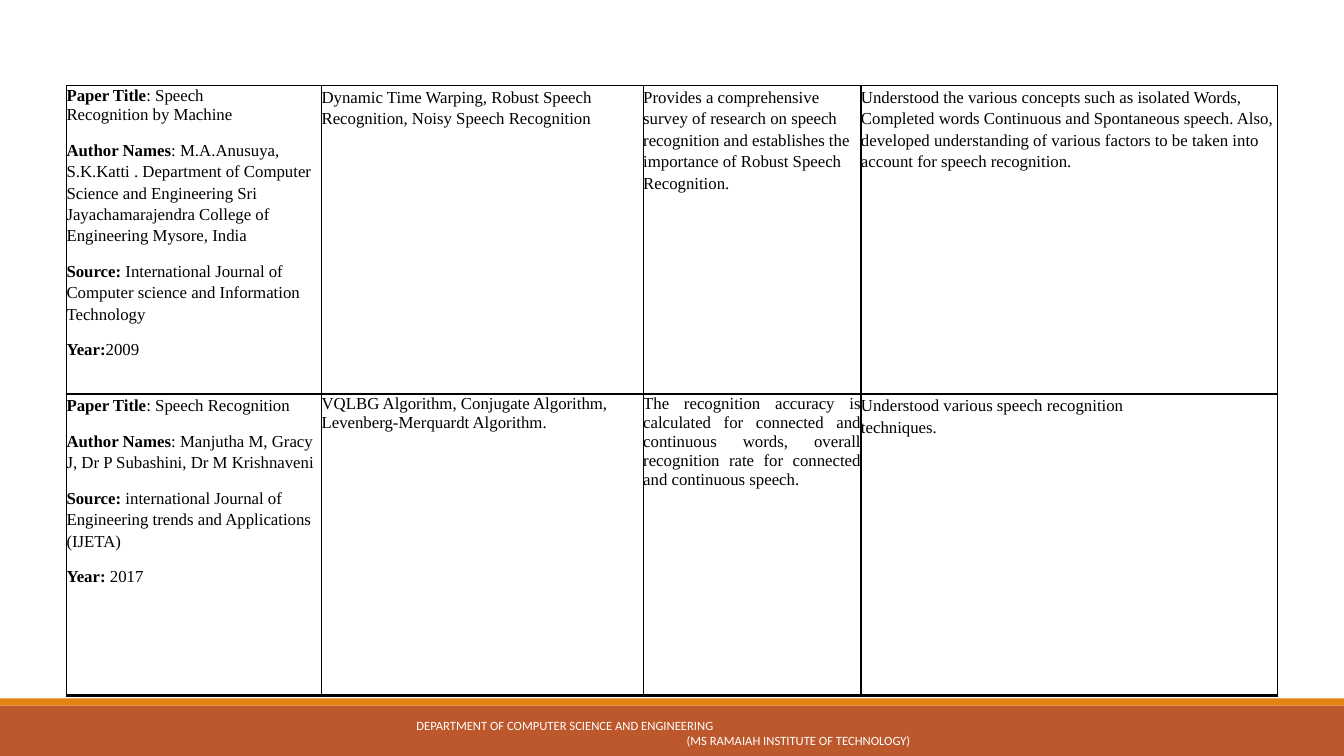
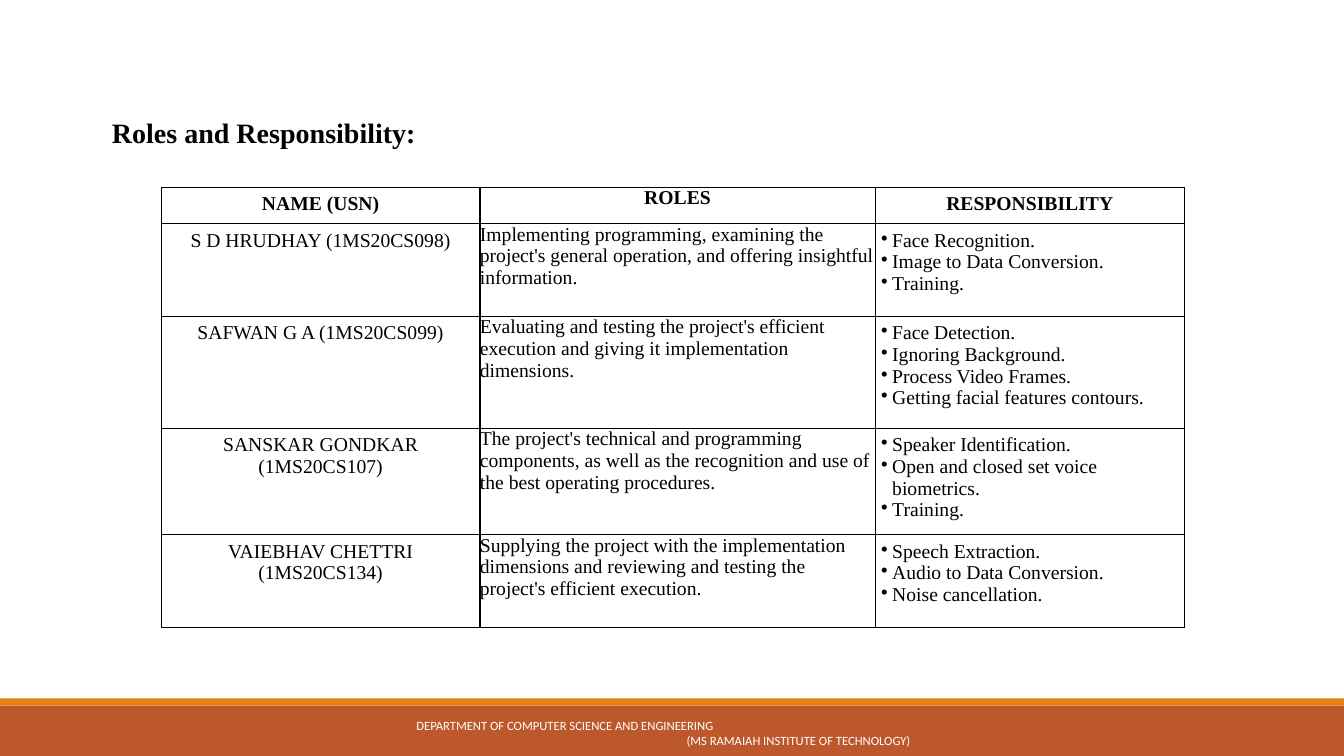
from lxml import etree
from pptx import Presentation
from pptx.dml.color import RGBColor
from pptx.enum.shapes import MSO_SHAPE
from pptx.enum.text import MSO_ANCHOR, MSO_AUTO_SIZE, PP_ALIGN
from pptx.oxml.ns import qn
from pptx.util import Inches, Pt

RECTANGLE = MSO_SHAPE.RECTANGLE
TOP, MIDDLE = MSO_ANCHOR.TOP, MSO_ANCHOR.MIDDLE
LEFT, CENTER, JUSTIFY = PP_ALIGN.LEFT, PP_ALIGN.CENTER, PP_ALIGN.JUSTIFY
NO_AUTOSIZE = MSO_AUTO_SIZE.NONE

BLACK, WHITE, RUST, ORANGE = "000000", "FFFFFF", "BD582C", "E48312"
SERIF, SANS = "Times New Roman", "Calibri"
WIDTH, HEIGHT = 13.33, 7.5
BAND_TOP, STRIPE_HEIGHT = 7, 0.07
color = RGBColor.from_string


def add_ruled_table(slide, left, top, columns, rows, rule_widths):
    """Add a white table; rule_widths gives the horizontal rules from top to bottom."""
    frame = slide.shapes.add_table(
        len(rows), len(columns), Inches(left), Inches(top),
        Inches(sum(columns)), Inches(sum(rows)))
    table = frame.table
    table.first_row = table.horz_banding = False
    for column, width in zip(table.columns, columns):
        column.width = Inches(width)
    for index, (row, height) in enumerate(zip(table.rows, rows)):
        row.height = Inches(height)
        sides = {"a:lnL": 1, "a:lnR": 1,
                 "a:lnT": rule_widths[index], "a:lnB": rule_widths[index + 1]}
        for cell in row.cells:
            properties = cell._tc.get_or_add_tcPr()
            for side, width in sides.items():
                line = etree.SubElement(properties, qn(side), w=str(Pt(width)))
                fill = etree.SubElement(line, qn("a:solidFill"))
                etree.SubElement(fill, qn("a:srgbClr"), val=BLACK)
            cell.fill.solid()
            cell.fill.fore_color.rgb = color(WHITE)
    return table


def write_cell(cell, paragraphs, size, inset=0, alignment=LEFT, spacing=(1, 0)):
    """Write (bold label, plain body) pairs; a line feed in a body breaks the line."""
    cell.margin_left = cell.margin_right = Inches(inset)
    cell.margin_top = cell.margin_bottom = Inches(inset)
    frame = cell.text_frame
    for index, (label, body) in enumerate(paragraphs):
        paragraph = frame.add_paragraph() if index else frame.paragraphs[0]
        paragraph.alignment = alignment
        paragraph.line_spacing = spacing[0]
        paragraph.space_before = Pt(spacing[1])
        for text, bold in ((label, True), (body, False)):
            for number, part in enumerate(text.split("\n")):
                if number:
                    paragraph.add_line_break()
                if part:
                    paragraph.add_run().text = part
                    paragraph.runs[-1].font.bold = bold
        for run in paragraph.runs:
            run.font.name = SERIF
            run.font.size = Pt(size)
            run.font.color.rgb = color(BLACK)


presentation = Presentation()
presentation.slide_width = Inches(WIDTH)
presentation.slide_height = Inches(HEIGHT)
title_only, blank = presentation.slide_layouts[5], presentation.slide_layouts[6]
papers_slide = presentation.slides.add_slide(blank)
roles_slide = presentation.slides.add_slide(title_only)

# Shared bands and footer
footer_lines = [("DEPARTMENT OF COMPUTER SCIENCE AND ENGINEERING", 0),
                ("(MS RAMAIAH INSTITUTE OF TECHNOLOGY)", 2.68)]
for slide in presentation.slides:
    for top, height, fill in ((BAND_TOP, HEIGHT - BAND_TOP, RUST),
                              (BAND_TOP - STRIPE_HEIGHT, STRIPE_HEIGHT, ORANGE)):
        band = slide.shapes.add_shape(
            RECTANGLE, 0, Inches(top), Inches(WIDTH), Inches(height))
        band.shadow.inherit = False
        band.fill.solid()
        band.fill.fore_color.rgb = color(fill)
        band.line.fill.background()
    footer = slide.shapes.add_textbox(
        Inches(4.08), Inches(7.08), Inches(5.17), Inches(0.38))
    frame = footer.text_frame
    frame.word_wrap = True
    frame.vertical_anchor = MIDDLE
    frame.margin_left = frame.margin_right = Inches(0.05)
    frame.margin_top = frame.margin_bottom = Inches(0.05)
    frame.text = "\n".join(text for text, indent in footer_lines)
    for paragraph, (text, indent) in zip(frame.paragraphs, footer_lines):
        paragraph._p.get_or_add_pPr().set("marL", str(Inches(indent)))
        font = paragraph.runs[0].font
        font.name, font.size = SANS, Pt(9)
        font.color.rgb = color(WHITE)

# Slide 1: literature survey, each cell as (paragraphs, line spacing, alignment)
papers = [
    [([("Paper Title", ": Speech\nRecognition by Machine"),
       ("Author Names", ": M.A.Anusuya, S.K.Katti . Department of Computer Science and "
        "Engineering Sri Jayachamarajendra College of Engineering Mysore, India"),
       ("Source: ", "International Journal of Computer science and Information Technology"),
       ("Year:", "2009")], 1.15, LEFT),
     ([("", "Dynamic Time Warping, Robust Speech Recognition, Noisy Speech Recognition")],
      1.15, LEFT),
     ([("", "Provides a comprehensive survey of research on speech recognition and "
        "establishes the importance of Robust Speech Recognition.")], 1.15, LEFT),
     ([("", "Understood the various concepts such as isolated Words, Completed words "
        "Continuous and Spontaneous speech. Also, developed understanding of various "
        "factors to be taken into account for speech recognition.")], 1.15, LEFT)],
    [([("Paper Title", ": Speech Recognition"),
       ("Author Names", ": Manjutha M, Gracy J, Dr P Subashini, Dr M Krishnaveni"),
       ("Source: ", "international Journal of Engineering trends and Applications (IJETA)"),
       ("Year: ", "2017")], 1.15, LEFT),
     ([("", "VQLBG Algorithm, Conjugate Algorithm, Levenberg-Merquardt Algorithm.")],
      1.01, LEFT),
     ([("", "The recognition accuracy is calculated for connected and continuous words, "
        "overall recognition rate for connected and continuous speech.")], 1.02, JUSTIFY),
     ([("", "Understood various speech recognition\ntechniques.")], 1.15, LEFT)],
]
table = add_ruled_table(papers_slide, 0.66, 0.85, [2.53, 3.19, 2.16, 4.13],
                        [3.06, 2.99], [1, 2, 2])
for row, paper in zip(table.rows, papers):
    for cell, (paragraphs, line_spacing, alignment) in zip(row.cells, paper):
        write_cell(cell, paragraphs, 12, alignment=alignment, spacing=(line_spacing, 10))
table.cell(0, 0).text_frame.paragraphs[0].line_spacing = 1.04

# Slide 2: title
title = roles_slide.shapes.title
title.left, title.top = Inches(1.06), Inches(1.05)
title.width, title.height = Inches(3.12), Inches(0.41)
frame = title.text_frame
frame.text = "Roles and Responsibility:"
frame.word_wrap = False
frame.auto_size = NO_AUTOSIZE
frame.vertical_anchor = TOP
frame.margin_left = frame.margin_right = Inches(0.05)
frame.margin_top = frame.margin_bottom = Inches(0.05)
paragraph = frame.paragraphs[0]
paragraph.alignment = LEFT
paragraph.line_spacing = 1.15
font = paragraph.runs[0].font
font.name, font.size, font.bold = SERIF, Pt(20), True
font.color.rgb = color(BLACK)

# Slide 2: roles table
headings = ["NAME (USN)", "ROLES", "RESPONSIBILITY"]
members = [
    ("S D HRUDHAY (1MS20CS098)",
     "Implementing programming, examining the project's general operation, "
     "and offering insightful information.",
     ["Face Recognition.", "Image to Data Conversion.", "Training."]),
    ("SAFWAN G A (1MS20CS099)",
     "Evaluating and testing the project's efficient execution and giving it "
     "implementation dimensions.",
     ["Face Detection.", "Ignoring Background.", "Process Video Frames.",
      "Getting facial features contours."]),
    ("SANSKAR GONDKAR (1MS20CS107)",
     "The project's technical and programming components, as well as the recognition "
     "and use of the best operating procedures.",
     ["Speaker Identification.", "Open and closed set voice biometrics.", "Training."]),
    ("VAIEBHAV CHETTRI (1MS20CS134)",
     "Supplying the project with the implementation dimensions and reviewing and "
     "testing the project's efficient execution.",
     ["Speech Extraction.", "Audio to Data Conversion.", "Noise cancellation."]),
]
insets = [0.06, 0, 0.06]
table = add_ruled_table(roles_slide, 1.6, 1.86, [3.16, 3.92, 3.07],
                        [0.36, 0.92, 1.11, 1.05, 0.92], [1] * 6)
for column, (heading, inset) in enumerate(zip(headings, insets)):
    write_cell(table.cell(0, column), [(heading, "")], 14, inset, CENTER)
for row, (name, role, duties) in enumerate(members, start=1):
    write_cell(table.cell(row, 0), [("", name)], 14, insets[0], CENTER)
    write_cell(table.cell(row, 1), [("", role)], 14, insets[1])
    duty_cell = table.cell(row, 2)
    write_cell(duty_cell, [("", duty) for duty in duties], 14, insets[2])
    for paragraph in duty_cell.text_frame.paragraphs:
        properties = paragraph._p.get_or_add_pPr()
        properties.set("marL", str(Inches(0.11)))
        properties.set("indent", str(-Inches(0.11)))
        etree.SubElement(properties, qn("a:buChar"), char="•")

presentation.save("out.pptx")
